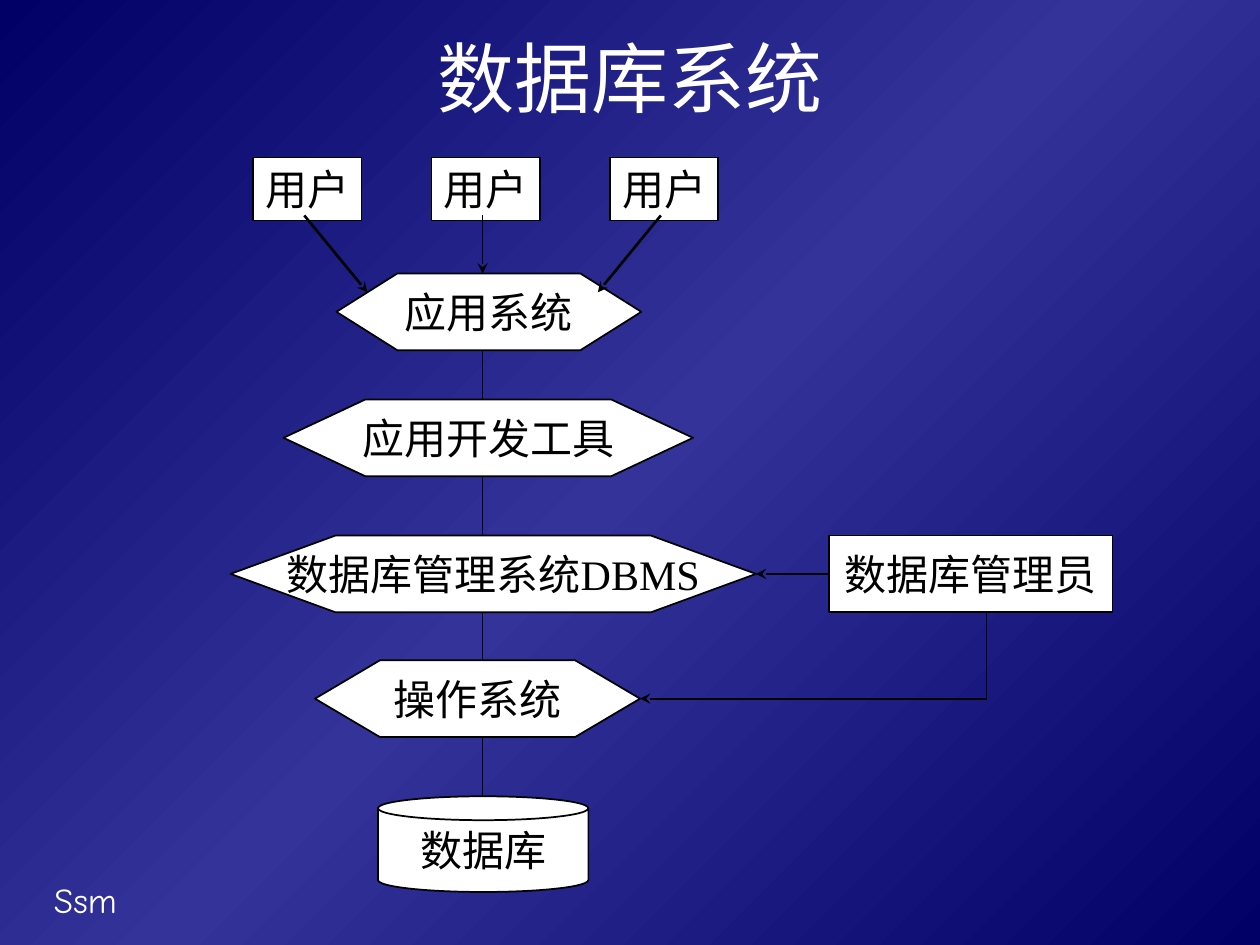
"""Build a slide showing the layers of a database system."""
from itertools import pairwise

from lxml.etree import SubElement
from pptx import Presentation
from pptx.dml.color import RGBColor
from pptx.enum.shapes import MSO_CONNECTOR, MSO_SHAPE
from pptx.enum.text import MSO_ANCHOR, PP_ALIGN
from pptx.oxml.ns import qn
from pptx.util import Inches, Pt

COLORS = {"edge": "000066", "middle": "333399", "white": "FFFFFF", "black": "000000"}
CJK_FONT = "Noto Sans CJK SC"
BODY_FONT = "Times New Roman"

TITLE = "数据库系统"
AUTHOR = "Ssm"
USERS = ["用户"] * 3
LAYERS = [
    ("应用系统", MSO_SHAPE.FLOWCHART_PREPARATION, 2.67, 2.17, 2.42, 0.61),
    ("应用开发工具", MSO_SHAPE.FLOWCHART_PREPARATION, 2.25, 3.17, 3.25, 0.61),
    ("数据库管理系统DBMS", MSO_SHAPE.FLOWCHART_PREPARATION, 1.83, 4.25, 4.17, 0.61),
    ("操作系统", MSO_SHAPE.FLOWCHART_PREPARATION, 2.5, 5.24, 2.58, 0.61),
    ("数据库", MSO_SHAPE.CAN, 3, 6.32, 1.67, 0.76),
]
ADMIN = ("数据库管理员", MSO_SHAPE.FLOWCHART_PROCESS, 6.58, 4.25, 2.25, 0.61)

USER_LEFT, USER_TOP, USER_STEP = 2.01, 1.25, 1.415
USER_WIDTH, USER_HEIGHT = 0.86, 0.5
SPINE_X, ARROW_TOP = 3.83, 1.71
ADMIN_LINE_X = 7.83


def color(name):
    return RGBColor.from_string(COLORS[name])


def paint_background(slide):
    fill = slide.background.fill
    fill.gradient()
    fill.gradient_angle = 315
    stops = slide.background._cSld.find(".//" + qn("a:gsLst"))
    for stop in list(stops):
        stops.remove(stop)
    for position, name in ((0, "edge"), (50, "middle"), (100, "edge")):
        stop = SubElement(stops, qn("a:gs"), pos=str(position * 1000))
        SubElement(stop, qn("a:srgbClr"), val=COLORS[name])


def write(shape, text, size, font, color_name, align, anchor, wrap):
    frame = shape.text_frame
    frame.word_wrap = wrap
    frame.vertical_anchor = anchor
    paragraph = frame.paragraphs[0]
    paragraph.alignment = align
    run = paragraph.add_run()
    run.text = text
    run.font.size = Pt(size)
    run.font.name = font
    run.font.color.rgb = color(color_name)
    SubElement(run.font._element, qn("a:ea"), typeface=CJK_FONT)


def add_label(slide, text, left, top, width, height, size, font, align, anchor):
    box = slide.shapes.add_textbox(*map(Inches, (left, top, width, height)))
    write(box, text, size, font, "white", align, anchor, True)


def add_node(slide, text, kind, left, top, width, height,
             align=PP_ALIGN.CENTER, anchor=MSO_ANCHOR.MIDDLE):
    shape = slide.shapes.add_shape(kind, *map(Inches, (left, top, width, height)))
    shape.shadow.inherit = False
    shape.fill.solid()
    shape.fill.fore_color.rgb = color("white")
    shape.line.color.rgb = color("black")
    shape.line.width = Pt(1)
    write(shape, text, 24, BODY_FONT, "black", align, anchor, False)


def add_line(slide, start, end, width=1, arrow=False):
    line = slide.shapes.add_connector(
        MSO_CONNECTOR.STRAIGHT, *map(Inches, (*start, *end)))
    line.line.color.rgb = color("black")
    line.line.width = Pt(width)
    if arrow:
        SubElement(line.line._get_or_add_ln(), qn("a:tailEnd"), type="stealth")
    SubElement(line._element.spPr, qn("a:effectLst"))


def main():
    presentation = Presentation()
    presentation.slide_width, presentation.slide_height = Inches(10), Inches(7.5)
    slide = presentation.slides.add_slide(presentation.slide_layouts[6])
    paint_background(slide)

    add_label(slide, AUTHOR, 0.33, 6.92, 2.08, 0.44, 20, "Comic Neue",
              PP_ALIGN.LEFT, MSO_ANCHOR.TOP)
    add_label(slide, TITLE, 0.5, 0.17, 9, 0.87, 44, CJK_FONT,
              PP_ALIGN.CENTER, MSO_ANCHOR.MIDDLE)

    for index, user in enumerate(USERS):
        add_node(slide, user, MSO_SHAPE.RECTANGLE, USER_LEFT + index * USER_STEP,
                 USER_TOP, USER_WIDTH, USER_HEIGHT, PP_ALIGN.LEFT, MSO_ANCHOR.TOP)
    for node in (*LAYERS, ADMIN):
        add_node(slide, *node)

    for side in (-1, 1):
        add_line(slide, (SPINE_X + side * 1.415, ARROW_TOP),
                 (SPINE_X + side * 0.915, 2.32), 1.5, True)
    add_line(slide, (SPINE_X, ARROW_TOP), (SPINE_X, LAYERS[0][3]), arrow=True)
    for upper, lower in pairwise(LAYERS):
        add_line(slide, (SPINE_X, upper[3] + upper[5]), (SPINE_X, lower[3]))

    dbms, system = LAYERS[2:4]
    admin_left, admin_top, admin_height = ADMIN[2], ADMIN[3], ADMIN[5]
    admin_middle = admin_top + admin_height / 2
    system_middle = system[3] + system[5] / 2
    corner = (ADMIN_LINE_X, system_middle)
    add_line(slide, (admin_left, admin_middle), (dbms[2] + dbms[4], admin_middle),
             arrow=True)
    add_line(slide, (ADMIN_LINE_X, admin_top + admin_height), corner)
    add_line(slide, corner, (system[2] + system[4], system_middle), arrow=True)

    presentation.save("out.pptx")


if __name__ == "__main__":
    main()
